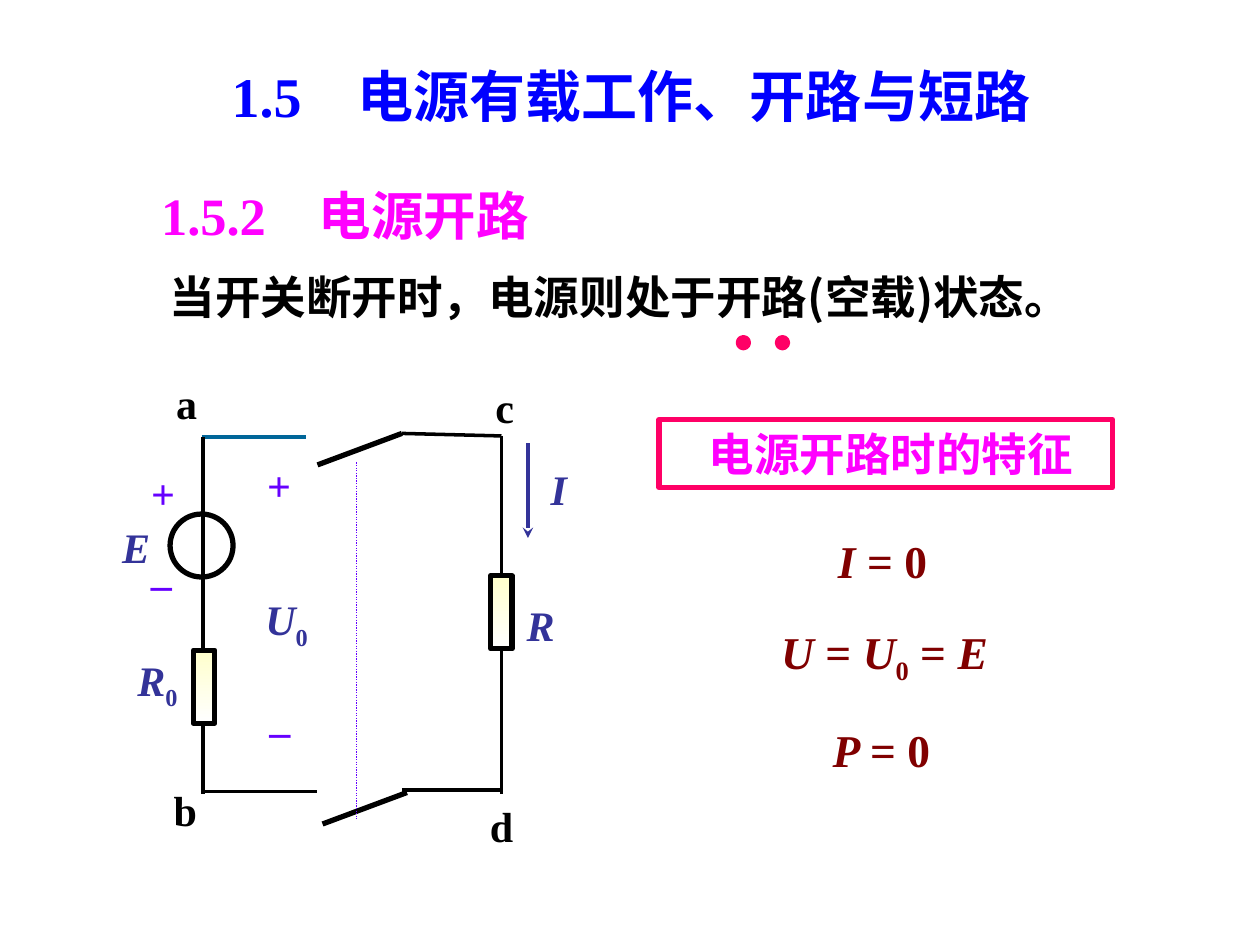
from lxml import etree
from pptx import Presentation
from pptx.dml.color import RGBColor
from pptx.enum.dml import MSO_LINE_DASH_STYLE as Dash
from pptx.enum.shapes import MSO_CONNECTOR as Conn, MSO_SHAPE as Geo
from pptx.enum.text import MSO_ANCHOR as Anchor, PP_ALIGN as Align
from pptx.oxml.ns import qn
from pptx.util import Inches, Pt

ROMAN, HAN = "Times New Roman", "Noto Sans CJK SC"
BLACK, BLUE, NAVY, PINK = "000000", "0000FF", "333399", "FF00FF"
ROSE, MAROON, VIOLET, TEAL = "FF0066", "800000", "6600FF", "006699"
CREAM, WHITE = "FFFFCC", "FFFFFF"

HEADS = [
    ((1.06, 0.44, 7.9, 0.64), "1.5　电源有载工作、开路与短路", 32, BLUE, ROMAN, Align.CENTER, Anchor.TOP),
    ((1.18, 1.4, 4.15, 0.6), "1.5.2　电源开路", 30, PINK, ROMAN, Align.LEFT, Anchor.MIDDLE),
    ((1.25, 2.08, 8, 0.54), "当开关断开时，电源则处于开路(空载)状态。", 26, BLACK, HAN, Align.JUSTIFY, Anchor.MIDDLE),
]
BANNER = ((5.23, 3.33, 3.6, 0.54), " 电源开路时的特征")

FACTS = [
    ((6.26, 4.18, 1.49, 0.54), [("I ", "i"), ("= 0", "")]),
    ((5.92, 4.9, 2.29, 0.6),
     [("U ", "i"), ("= ", ""), ("U", "i"), ("0", "s"), (" = ", ""), ("E ", "i")]),
    ((6.24, 5.68, 1.51, 0.54), [("P ", "i"), ("= 0", "")]),
]
LABELS = [
    ((0.87, 4.09, 0.42, 0.5), [("E", "i")], NAVY),
    ((4.27, 3.63, 0.33, 0.5), [("I", "i")], NAVY),
    ((1.96, 4.66, 0.63, 0.56), [("U", "i"), ("0", "s")], NAVY),
    ((0.99, 5.14, 0.52, 0.56), [("R", "i"), ("0", "s")], NAVY),
    ((4.08, 4.71, 0.42, 0.5), [("R", "i")], NAVY),
    ((1.3, 2.95, 0.36, 0.5), [("a", "")], BLACK),
    ((1.28, 6.18, 0.38, 0.5), [("b", "")], BLACK),
    ((3.83, 2.98, 0.35, 0.5), [("c", "")], BLACK),
    ((3.79, 6.3, 0.38, 0.5), [("d", "")], BLACK),
    ((2.02, 3.6, 0.39, 0.5), [("+", "")], VIOLET),
    ((2.04, 5.43, 0.36, 0.5), [("_", "")], VIOLET),
    ((1.1, 3.66, 0.39, 0.5), [("+", "")], VIOLET),
    ((1.1, 4.26, 0.36, 0.5), [("_", "")], VIOLET),
]

WIRES = [
    ((1.6, 3.47, 2.43, 3.47), TEAL, 2),
    ((1.61, 3.47, 1.61, 4.55), BLACK, 2),
    ((1.61, 4.22, 1.61, 5.3), BLACK, 2),
    ((1.61, 5.22, 1.61, 6.3), BLACK, 2),
    ((1.6, 6.28, 2.52, 6.28), BLACK, 2),
    ((2.52, 3.69, 3.19, 3.44), BLACK, 3),
    ((2.56, 6.54, 3.23, 6.29), BLACK, 3),
    ((3.98, 3.46, 3.98, 6.3), BLACK, 2),
    ((3.19, 6.27, 3.98, 6.27), BLACK, 2),
    ((3.19, 3.44, 3.98, 3.46), BLACK, 2),
]
ARROW = (4.19, 3.52, 4.19, 4.27)
LINK = (2.83, 3.67, 2.83, 6.5)
LOADS = [(3.98, 4.86), (1.62, 5.45)]
DOTS = [(5.9, 2.72), (6.21, 2.72)]
SOURCE = (1.6, 4.33)

prs = Presentation()
prs.slide_width, prs.slide_height = Inches(10), Inches(7.5)
slide = prs.slides.add_slide(prs.slide_layouts[6])
shapes = slide.shapes


def rgb(code):
    return RGBColor.from_string(code)


def put(obj, **fmt):
    for key, val in fmt.items():
        setattr(obj, key, val)


def write(frame, runs, size, tint, face=ROMAN, align=Align.CENTER,
          anchor=Anchor.MIDDLE, wrap=True):
    put(frame, word_wrap=wrap, vertical_anchor=anchor, margin_left=Inches(0.1),
        margin_right=Inches(0.1), margin_top=Inches(0.05), margin_bottom=Inches(0.05))
    para = frame.paragraphs[0]
    para.alignment = align
    for words, kind in runs:
        run = para.add_run()
        run.text = words
        put(run.font, name=face, size=Pt(size), bold=True, italic=kind == "i")
        run.font.color.rgb = rgb(tint)
        props = run.font._element
        etree.SubElement(props, qn("a:ea"), typeface=HAN)
        if kind == "s":
            props.set("baseline", "-25000")


def label(box, runs, size, tint, **fmt):
    area = shapes.add_textbox(*map(Inches, box))
    write(area.text_frame, runs, size, tint, **fmt)


def wire(ends, tint, width):
    line = shapes.add_connector(Conn.STRAIGHT, *map(Inches, ends))
    line.line.color.rgb = rgb(tint)
    line.line.width = Pt(width)
    etree.SubElement(line._element.spPr, qn("a:effectLst"))
    return line


def solid(geo, box, tint, fill=None):
    form = shapes.add_shape(geo, *map(Inches, box))
    form.shadow.inherit = False
    form.line.color.rgb = rgb(tint)
    form.line.width = Pt(3)
    if fill:
        form.fill.solid()
        form.fill.fore_color.rgb = rgb(fill)
    else:
        form.fill.background()
    return form


def around(mid, wide, high):
    return mid[0] - wide / 2, mid[1] - high / 2, wide, high


for box, words, size, tint, face, align, anchor in HEADS:
    label(box, [(words, "")], size, tint, face=face, align=align, anchor=anchor)

box, words = BANNER
write(solid(Geo.RECTANGLE, box, ROSE).text_frame, [(words, "")], 26, PINK)

for box, runs in FACTS:
    label(box, runs, 26, MAROON)
for box, runs, tint in LABELS:
    label(box, runs, 24, tint, wrap=False)

for ends, tint, width in WIRES:
    wire(ends, tint, width)
flow = wire(ARROW, NAVY, 2)
etree.SubElement(flow.line._get_or_add_ln(), qn("a:tailEnd"), type="stealth")
wire(LINK, VIOLET, 0.75).line.dash_style = Dash.ROUND_DOT

for mid in LOADS:
    load = solid(Geo.RECTANGLE, around(mid, 0.17, 0.58), BLACK)
    load.fill.gradient()
    load.fill.gradient_angle = 270
    for stop, tint in zip(load.fill.gradient_stops, (CREAM, WHITE)):
        stop.color.rgb = rgb(tint)

solid(Geo.OVAL, around(SOURCE, 0.5, 0.5), BLACK)
for mid in DOTS:
    solid(Geo.OVAL, around(mid, 0.08, 0.08), ROSE, ROSE)

prs.save("out.pptx")
